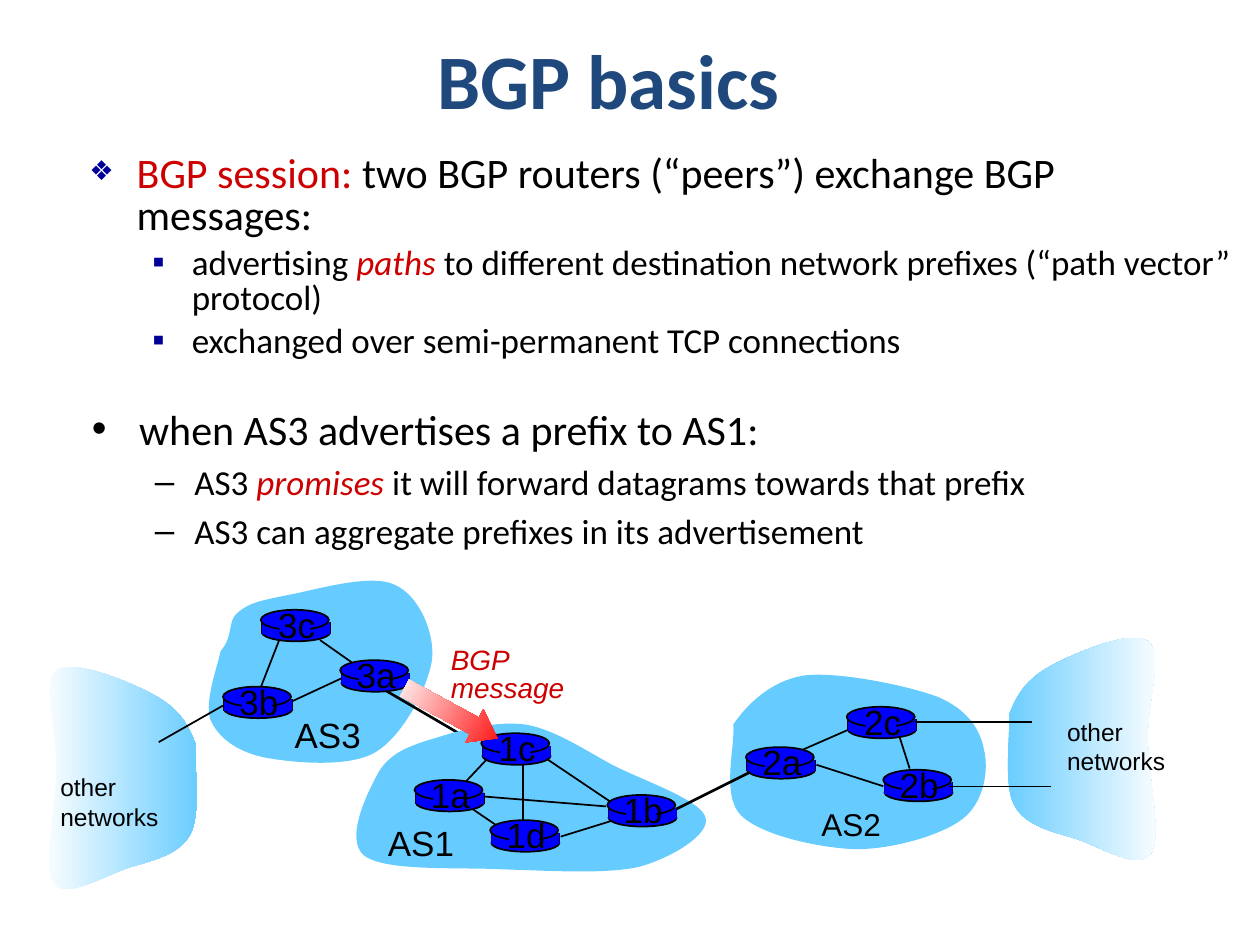
from dataclasses import dataclass

from lxml.etree import SubElement
from pptx import Presentation
from pptx.dml.color import RGBColor as RGB
from pptx.enum.shapes import MSO_CONNECTOR as CONNECTOR, MSO_SHAPE as SHAPE
from pptx.enum.text import MSO_AUTO_SIZE as AUTO_SIZE, PP_ALIGN as ALIGN
from pptx.oxml.ns import qn
from pptx.util import Inches, Pt


@dataclass(frozen=True)
class Theme:
    title: str = "1F497D"
    text: str = "000000"
    accent: str = "CC0000"
    bullet: str = "000099"
    cloud: str = "66CCFF"
    router: str = "0000FF"
    arrow: str = "FF0000"
    white: str = "FFFFFF"
    body_font: str = "Calibri"
    label_font: str = "Arial"
    title_size: int = 44
    list_sizes: tuple = (24, 20)
    label_size: int = 20
    as2_size: int = 18
    message_size: int = 16
    note_size: int = 14


T = Theme()

SESSION = [
    (0, [("BGP session: ", "color"),
         ("two BGP routers (“peers”) exchange BGP messages:", "")]),
    (1, [("advertising ", ""), ("paths ", "italic"),
         ("to different destination network prefixes (“path vector” protocol)", "")]),
    (1, [("exchanged over semi-permanent TCP connections", "")]),
]
PROMISE = [
    (0, [("when AS3 advertises a prefix to AS1:", "")]),
    (1, [("AS3 ", ""), ("promises", "italic"),
         (" it will forward datagrams towards that prefix", "")]),
    (1, [("AS3 can aggregate prefixes in its advertisement", "")]),
]
SESSION_BULLETS = [("❖", 65), ("▪", 100)]

AS1_CLOUD = [(3.01, 6.12), (3.11, 5.96), (3.28, 5.91), (3.48, 5.85),
             (3.67, 5.79), (3.94, 5.72), (4.17, 5.75), (4.4, 5.79), (4.62, 5.94), (4.86, 6.07),
             (5.09, 6.19), (5.57, 6.35), (5.6, 6.49), (5.64, 6.62), (5.33, 6.81), (5.07, 6.88),
             (4.8, 6.94), (4.36, 6.91), (4, 6.9), (3.64, 6.88), (3.06, 6.92), (2.89, 6.79),
             (2.73, 6.66), (2.92, 6.28), (3.01, 6.12)]
AS2_CLOUD = [(5.82, 5.75), (5.93, 5.59), (6.12, 5.4), (6.39, 5.36),
             (6.66, 5.33), (7.2, 5.44), (7.44, 5.53), (7.68, 5.63), (7.78, 5.79), (7.81, 5.95),
             (7.85, 6.11), (7.81, 6.37), (7.64, 6.5), (7.47, 6.63), (7.09, 6.74), (6.79, 6.74),
             (6.5, 6.73), (6.04, 6.63), (5.88, 6.47), (5.72, 6.31), (5.84, 5.9), (5.82, 5.75)]
AS3_CLOUD = [(1.75, 5.17), (1.86, 5.04), (1.8, 4.93), (1.89, 4.86),
             (1.98, 4.78), (2.1, 4.76), (2.3, 4.72), (2.51, 4.68), (2.94, 4.55), (3.13, 4.64),
             (3.32, 4.72), (3.45, 5.01), (3.43, 5.23), (3.4, 5.45), (3.2, 5.84), (2.98, 5.97),
             (2.76, 6.1), (2.3, 6.05), (2.09, 6.01), (1.87, 5.96), (1.73, 5.85), (1.67, 5.71),
             (1.62, 5.57), (1.73, 5.28), (1.75, 5.17)]
RIGHT_CLOUD = [(8.01, 5.67), (8.07, 5.51), (8.15, 5.39), (8.33, 5.29),
               (8.51, 5.19), (8.98, 4.99), (9.11, 5.09), (9.24, 5.18), (9.1, 5.59), (9.11, 5.87),
               (9.11, 6.16), (9.23, 6.65), (9.13, 6.78), (9.04, 6.91), (8.73, 6.72), (8.55, 6.66),
               (8.36, 6.6), (8.14, 6.56), (8.05, 6.39), (7.96, 6.23), (8.02, 5.82), (8.01, 5.67)]

LINKS = [
    (2.31, 5.57, 2.74, 5.37), (2.81, 5.27, 2.54, 5.08), (2.22, 5.07, 2.06, 5.48),
    (3.87, 6.02, 3.7, 6.2), (4.15, 6.06, 4.15, 6.56), (4.32, 6.01, 4.87, 6.38),
    (4.87, 6.51, 4.45, 6.64), (4.81, 6.4, 3.82, 6.32), (3.72, 6.4, 3.94, 6.55),
    (6.28, 5.99, 6.76, 5.78), (6.48, 6.07, 7.01, 6.24), (7.14, 5.85, 7.22, 6.1),
]
ROUTERS = {
    "3b": (1.77, 5.45), "3c": (2.07, 4.84), "3a": (2.7, 5.24),
    "1c": (3.82, 5.82), "1a": (3.29, 6.19), "1d": (3.89, 6.51), "1b": (4.82, 6.31),
    "2a": (5.92, 5.93), "2c": (6.72, 5.61), "2b": (7.01, 6.11),
}


def box(*lengths):
    return [Inches(v) for v in lengths]


def style_run(r, size, color, font, bold=False, italic=False):
    f = r.font
    f.size, f.name, f.bold, f.italic = Pt(size), font, bold, italic
    f.color.rgb = RGB.from_string(color)


def place(sp, *at):
    sp.left, sp.top, sp.width, sp.height = box(*at)
    sp.text_frame.auto_size = AUTO_SIZE.NONE


def set_bullet(p, char, percent):
    pPr = p._p.get_or_add_pPr()
    SubElement(SubElement(pPr, qn("a:buClr")), qn("a:srgbClr"), val=T.bullet)
    SubElement(pPr, qn("a:buSzPct"), val=str(percent * 1000))
    SubElement(pPr, qn("a:buFont"), typeface=T.label_font)
    SubElement(pPr, qn("a:buChar"), char=char)


def fill_list(sp, items, bullets=None):
    tf = sp.text_frame
    for i, (level, runs) in enumerate(items):
        p = tf.add_paragraph() if i else tf.paragraphs[0]
        p.level = level
        if bullets:
            p.line_spacing = 0.85
            set_bullet(p, *bullets[level])
        for text, mark in runs:
            r = p.add_run()
            r.text = text
            style_run(r, T.list_sizes[level], T.accent if mark else T.text,
                      T.body_font, italic=mark == "italic")


def paint(sp, *colors, outline=False):
    sp.shadow.inherit = False
    if len(colors) == 1:
        sp.fill.solid()
        sp.fill.fore_color.rgb = RGB.from_string(colors[0])
    else:
        sp.fill.gradient()
        sp.fill.gradient_angle = 0
        for stop, color in zip(sp.fill.gradient_stops, colors):
            stop.color.rgb = RGB.from_string(color)
    if outline:
        sp.line.color.rgb = RGB.from_string(T.text)
        sp.line.width = Pt(1)
    else:
        sp.line.fill.background()


def add_shape(shapes, kind, at, *colors, outline=False):
    sp = shapes.add_shape(kind, *box(*at))
    paint(sp, *colors, outline=outline)
    return sp


def add_line(shapes, ends, width=1):
    line = shapes.add_connector(CONNECTOR.STRAIGHT, *box(*ends))
    line.line.color.rgb = RGB.from_string(T.text)
    line.line.width = Pt(width)
    SubElement(line._element.spPr, qn("a:effectLst"))


def add_label(shapes, at, lines, size, color=T.text, align=ALIGN.LEFT,
              italic=False, spacing=None):
    tf = shapes.add_textbox(*box(*at)).text_frame
    tf.word_wrap = False
    tf.text = lines
    for p in tf.paragraphs:
        p.alignment, p.line_spacing = align, spacing
        style_run(p.runs[0], size, color, T.label_font, italic=italic)


def curve_segments(sp):
    segments = list(sp._element.spPr.iter(qn("a:lnTo")))
    for first, *others in zip(segments[::3], segments[1::3], segments[2::3]):
        first.tag = qn("a:cubicBezTo")
        for other in others:
            first.append(other[0])
            other.getparent().remove(other)


def add_cloud(shapes, outline, *colors):
    builder = shapes.build_freeform(*box(*outline[0]), scale=1.0)
    builder.add_line_segments([box(*pt) for pt in outline[1:]], close=True)
    sp = builder.convert_to_shape()
    curve_segments(sp)
    paint(sp, *colors)


def mirrored(outline, axis_sum=9.56, drop=0.23):
    return [(axis_sum - x, y + drop) for x, y in outline]


def add_router(shapes, name, x, y):
    parts = shapes.add_group_shape().shapes
    add_shape(parts, SHAPE.OVAL, (x + 0.01, y + 0.11, 0.54, 0.14), T.router, outline=True)
    for side in (x + 0.01, x + 0.55):
        add_line(parts, (side, y + 0.1, side, y + 0.19))
    add_shape(parts, SHAPE.RECTANGLE, (x + 0.01, y + 0.1, 0.54, 0.09), T.router)
    add_shape(parts, SHAPE.OVAL, (x, y, 0.54, 0.16), T.router, outline=True)
    add_shape(parts, SHAPE.RECTANGLE, (x + 0.15, y + 0.02, 0.24, 0.21), T.router)
    add_label(parts, (x + 0.03, y - 0.1, 0.51, 0.43), name, T.label_size, align=ALIGN.CENTER)


def add_network(shapes):
    add_cloud(shapes, RIGHT_CLOUD, T.cloud, T.white)
    add_cloud(shapes, mirrored(RIGHT_CLOUD), T.white, T.cloud)
    add_cloud(shapes, AS2_CLOUD, T.cloud)
    add_cloud(shapes, AS3_CLOUD, T.cloud)
    add_line(shapes, (3.06, 5.48, 3.83, 5.93), 1.5)
    add_cloud(shapes, AS1_CLOUD, T.cloud)
    for ends in LINKS:
        add_line(shapes, ends)
    for name, (x, y) in ROUTERS.items():
        add_router(shapes, name, x, y)
    add_line(shapes, (1.77, 5.6, 1.26, 5.89))
    add_line(shapes, (5.37, 6.42, 5.95, 6.13), 1.5)
    for ends in ((7.26, 5.73, 8.19, 5.73), (7.53, 6.24, 8.34, 6.24)):
        add_line(shapes, ends, 0.75)
    add_label(shapes, (2.24, 5.61, 0.73, 0.43), "AS3", T.label_size)
    add_label(shapes, (2.98, 6.47, 0.73, 0.43), "AS1", T.label_size)
    add_label(shapes, (6.42, 6.34, 0.67, 0.4), "AS2", T.as2_size)
    for x, y in ((8.37, 5.64), (0.38, 6.08)):
        add_label(shapes, (x, y, 0.98, 0.57), "other\nnetworks", T.note_size)


def add_message(shapes):
    arrow = add_shape(shapes, SHAPE.LEFT_ARROW, (3.16, 5.51, 0.84, 0.3), T.arrow, T.white)
    arrow.rotation = 208.5
    arrow.adjustments[1] = 0.7
    add_label(shapes, (3.48, 5.09, 1.1, 0.56), "BGP\nmessage", T.message_size,
              T.accent, italic=True, spacing=0.85)


def main():
    prs = Presentation()
    prs.slide_width, prs.slide_height = box(10, 7.5)
    slide = prs.slides.add_slide(prs.slide_layouts[3])
    title, session, promise = slide.placeholders
    place(title, 0.58, 0, 8.5, 1.25)
    title.text_frame.text = "BGP basics"
    style_run(title.text_frame.paragraphs[0].runs[0], T.title_size, T.title,
              T.body_font, bold=True)
    place(session, 0.61, 1.17, 9.3, 2.18)
    fill_list(session, SESSION, SESSION_BULLETS)
    place(promise, 0.63, 3.15, 9.3, 2.57)
    fill_list(promise, PROMISE)
    add_network(slide.shapes)
    add_message(slide.shapes)
    prs.save("out.pptx")


if __name__ == "__main__":
    main()
